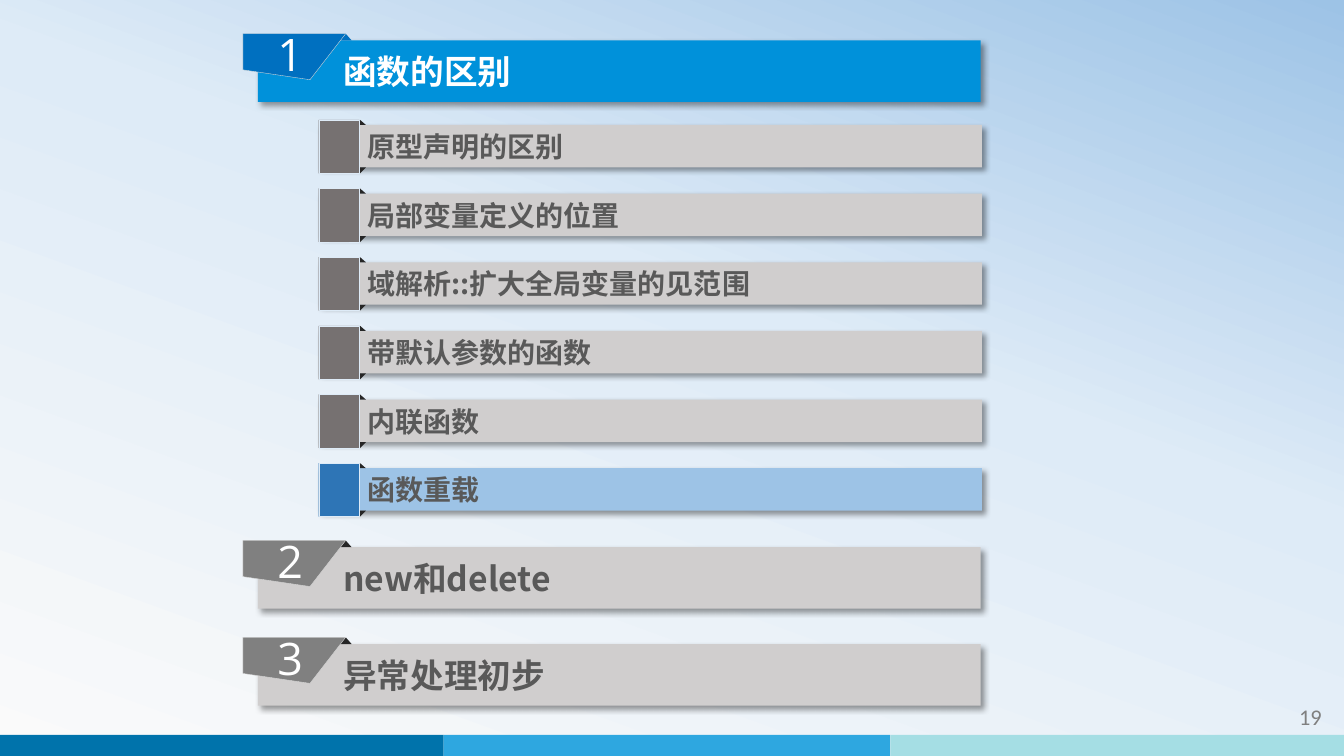
"""Build the agenda slide: three numbered chapters, the first with its topics."""
from copy import deepcopy
from dataclasses import dataclass

from lxml.etree import SubElement
from pptx import Presentation
from pptx.dml.color import RGBColor
from pptx.enum.shapes import MSO_SHAPE
from pptx.enum.text import MSO_ANCHOR, PP_ALIGN
from pptx.oxml.ns import qn
from pptx.util import Cm, Pt

CHAPTERS = [
    {"number": "1", "title": "函数的区别", "top": 1.02, "active": True},
    {"number": "2", "title": "new和delete", "top": 13.79, "active": False},
    {"number": "3", "title": "异常处理初步", "top": 16.23, "active": False},
]
TOPICS = [
    ("原型声明的区别", False),
    ("局部变量定义的位置", False),
    ("域解析::扩大全局变量的见范围", False),
    ("带默认参数的函数", False),
    ("内联函数", False),
    ("函数重载", True),
]
PAGE_NUMBER = "19"
STRIPES = [(0, 11.18, "0073AB"), (11.18, 11.25, "2EA7E0"), (22.43, 11.43, "A5DEE4")]
BACKDROP = [(0, "FAFAFA"), (0.58, "DEEBF7"), (1, "9DC3E6")]


@dataclass(frozen=True)
class Theme:
    heading_font: str = "Noto Sans CJK SC"
    number_font: str = "Open Sans"
    page_font: str = "Calibri"
    chapter_size: int = 24
    topic_size: int = 20
    number_size: int = 32
    page_size: int = 16
    white: str = "FFFFFF"
    ink: str = "595959"
    muted: str = "808080"
    bar: str = "D0CECE"
    fold: str = "262626"
    tab: str = "767171"
    tab_edge: str = "DEEBF7"
    flag_edge: str = "D9D9D9"
    active_chapter: str = "0091DA"
    active_flag: str = "0070C0"
    active_topic: str = "9DC3E6"
    active_tab: str = "2E75B6"


THEME = Theme()
BAR_LEFT, TOPIC_LEFT = 6.5, 8.05
TOPIC_TOP, TOPIC_PITCH, TOPIC_HEIGHT = 3.15, 1.73, 1.07
FLAG_OUTLINE = [(0, 0), (2.59, 0), (1.69, 1.16), (0, 0.91)]


def paint(part, fill, edge=None):
    part.shadow.inherit = False
    part.fill.solid()
    part.fill.fore_color.rgb = RGBColor.from_string(fill)
    if edge:
        part.line.color.rgb = RGBColor.from_string(edge)
        part.line.width = Pt(0.25)
    else:
        part.line.fill.background()
    return part


def block(shapes, box, fill, edge=None, kind=MSO_SHAPE.RECTANGLE):
    return paint(shapes.add_shape(kind, *map(Cm, box)), fill, edge)


def cast_shadow(part):
    effects = part.element.spPr.find(qn("a:effectLst"))
    shadow = SubElement(effects, qn("a:outerShdw"), blurRad=str(Pt(4)), dist=str(Pt(3)),
                        dir="2700000", algn="tl", rotWithShape="0")
    black = SubElement(shadow, qn("a:srgbClr"), val="000000")
    SubElement(black, qn("a:alpha"), val="40000")


def write(part, words, font, size, colour, bold=False, align=PP_ALIGN.LEFT, **margins):
    frame = part.text_frame
    frame_format = {"word_wrap": True, "vertical_anchor": MSO_ANCHOR.MIDDLE}
    frame_format.update({f"margin_{side}": Cm(gap) for side, gap in margins.items()})
    for key, value in frame_format.items():
        setattr(frame, key, value)
    paragraph = frame.paragraphs[0]
    paragraph.alignment = align
    run = paragraph.add_run()
    run.text = words
    run.font.color.rgb = RGBColor.from_string(colour)
    for key, value in {"name": font, "size": Pt(size), "bold": bold}.items():
        setattr(run.font, key, value)
    SubElement(run.font._element, qn("a:ea"), typeface=font)


def add_backdrop(slide):
    fill = slide.background.fill
    fill.gradient()
    fill.gradient_angle = 70
    first_stop = slide.element.find(".//" + qn("a:gs"))
    first_stop.addnext(deepcopy(first_stop))
    for stop, (position, colour) in zip(fill.gradient_stops, BACKDROP):
        stop.position = position
        stop.color.rgb = RGBColor.from_string(colour)


def add_topic(slide, top, words, active):
    shapes = slide.shapes.add_group_shape().shapes
    bar = block(shapes, (TOPIC_LEFT, top, 16.69, TOPIC_HEIGHT),
                THEME.active_topic if active else THEME.bar)
    cast_shadow(bar)
    write(bar, words, THEME.heading_font, THEME.topic_size, THEME.ink, True, left=1.2)
    for fold_top, height, turn in [(top - 0.13, 0.13, 0), (top + TOPIC_HEIGHT, 0.15, 180)]:
        fold = block(shapes, (TOPIC_LEFT + 0.87, fold_top, 0.3, height), THEME.fold,
                     kind=MSO_SHAPE.ISOSCELES_TRIANGLE)
        fold.rotation = turn
    block(shapes, (TOPIC_LEFT - 0.02, top - 0.13, 1.02, 1.35),
          THEME.active_tab if active else THEME.tab, THEME.tab_edge)


def add_chapter(slide, number, title, top, active):
    shapes = slide.shapes.add_group_shape().shapes
    bar = block(shapes, (BAR_LEFT, top, 18.21, 1.55),
                THEME.active_chapter if active else THEME.bar)
    cast_shadow(bar)
    write(bar, title, THEME.heading_font, THEME.chapter_size,
          THEME.white if active else THEME.ink, True, left=2.15)
    block(shapes, (BAR_LEFT + 2.06, top - 0.17, 0.3, 0.17),
          THEME.active_flag if active else THEME.fold, kind=MSO_SHAPE.ISOSCELES_TRIANGLE)
    corners = [(Cm(BAR_LEFT - 0.38 + x), Cm(top - 0.17 + y)) for x, y in FLAG_OUTLINE]
    outline = shapes.build_freeform(*corners[0])
    outline.add_line_segments(corners[1:], close=True)
    flag = paint(outline.convert_to_shape(),
                 THEME.active_flag if active else THEME.muted, THEME.flag_edge)
    write(flag, number, THEME.number_font, THEME.number_size, THEME.white,
          align=PP_ALIGN.CENTER, left=0.23, top=0.1, right=0.43, bottom=0.25)


deck = Presentation()
deck.slide_width, deck.slide_height = Cm(33.86), Cm(19.05)
agenda = deck.slides.add_slide(deck.slide_layouts[6])
add_backdrop(agenda)
for left, width, colour in STRIPES:
    block(agenda.shapes, (left, 18.52, width, 0.53), colour)
page = agenda.shapes.add_textbox(Cm(29.51), Cm(17.55), Cm(4.04), Cm(1.02))
write(page, PAGE_NUMBER, THEME.page_font, THEME.page_size, THEME.muted, align=PP_ALIGN.RIGHT)
for row, (words, active) in enumerate(TOPICS):
    add_topic(agenda, TOPIC_TOP + row * TOPIC_PITCH, words, active)
for chapter in CHAPTERS:
    add_chapter(agenda, **chapter)
deck.save("out.pptx")
